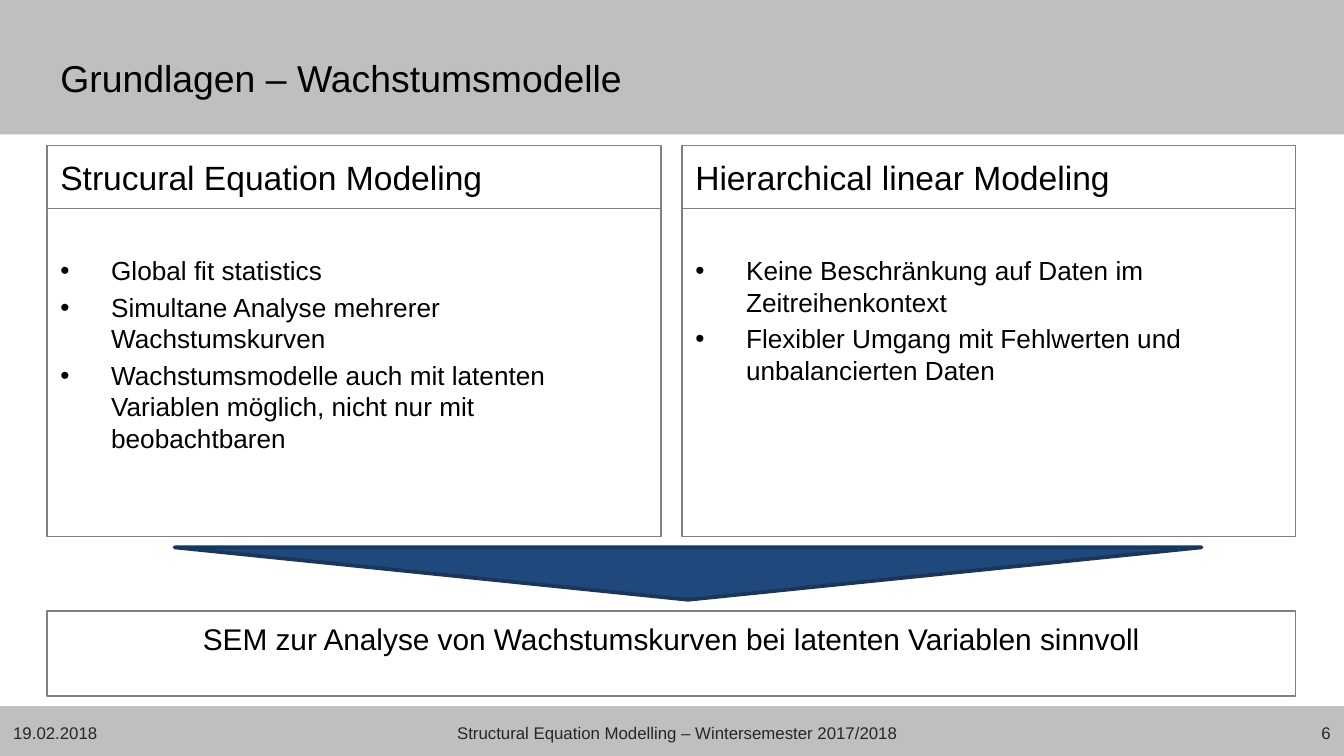
from pptx import Presentation
from pptx.dml.color import RGBColor
from pptx.enum.shapes import MSO_SHAPE
from pptx.enum.text import MSO_ANCHOR, MSO_AUTO_SIZE, PP_ALIGN
from pptx.util import Cm, Pt

RECT, MERGE = MSO_SHAPE.RECTANGLE, MSO_SHAPE.FLOWCHART_MERGE
TOP, MID = MSO_ANCHOR.TOP, MSO_ANCHOR.MIDDLE
LEFT, MIDST, RIGHT = PP_ALIGN.LEFT, PP_ALIGN.CENTER, PP_ALIGN.RIGHT
HUES = {"band": "BFBFBF", "blue": "1F497D", "navy": "17375E",
        "frame": "808080", "text": "000000", "foot": "262626"}


def hue(name):
    return RGBColor.from_string(HUES[name])


def write(shape, box, lines, size, anchor=MID, align=LEFT, ink="text",
          frame=True, inset=0.13):
    """Place a shape, fill it with paragraphs and format them."""
    for key, val in zip(("left", "top", "width", "height"), box):
        setattr(shape, key, Cm(val))
    text = shape.text_frame
    text.text = "\n".join(lines)
    looks = {"word_wrap": True, "auto_size": MSO_AUTO_SIZE.NONE,
             "vertical_anchor": anchor, "margin_left": Cm(0.25),
             "margin_right": Cm(0.25), "margin_top": Cm(inset),
             "margin_bottom": Cm(0.13)}
    for key, val in looks.items():
        setattr(text, key, val)
    for para in text.paragraphs:
        para.alignment = align
        fonts = {"name": "Arial", "size": Pt(size), "bold": False}
        for run in para.runs:
            for key, val in fonts.items():
                setattr(run.font, key, val)
            run.font.color.rgb = hue(ink)
    if frame:
        shape.line.color.rgb = hue("frame")
        shape.line.width = Pt(0.75)


deck = Presentation()
deck.slide_width, deck.slide_height = Cm(25.4), Cm(14.28)
slide = deck.slides.add_slide(deck.slide_layouts.get_by_name("Comparison"))
shapes = slide.shapes
title = shapes.title

# Bands and arrow, behind the text
for kind, box, fill, line in (
        (RECT, (0, 0, 25.4, 2.54), "band", None),
        (RECT, (0, 13.34, 25.4, 0.94), "band", None),
        (MERGE, (3.3, 10.34, 19.41, 0.99), "blue", "navy")):
    back = shapes.add_shape(kind, *map(Cm, box))
    back.shadow.inherit = False
    back.fill.solid()
    back.fill.fore_color.rgb = hue(fill)
    if line:
        back.line.color.rgb = hue(line)
        back.line.width = Pt(2)
    else:
        back.line.fill.background()
    title.element.addprevious(back.element)

write(title, (0.89, 0.58, 21.41, 1.78), ["Grundlagen – Wachstumsmodelle"],
      20, frame=False)

# Two columns, each a heading above a list
cols = [
    ("Strucural Equation Modeling",
     ["Global fit statistics",
      "Simultane Analyse mehrerer Wachstumskurven",
      "Wachstumsmodelle auch mit latenten Variablen möglich, "
      "nicht nur mit beobachtbaren"]),
    ("Hierarchical linear Modeling",
     ["Keine Beschränkung auf Daten im Zeitreihenkontext",
      "Flexibler Umgang mit Fehlwerten und unbalancierten Daten"]),
]
wide, step = 11.6, 12.0
for col, (head, items) in enumerate(cols):
    x = 0.89 + col * step
    write(slide.placeholders[1 + 2 * col], (x, 2.75, wide, 1.19), [head], 18)
    body = slide.placeholders[2 + 2 * col]
    write(body, (x, 3.94, wide, 6.2), items, 14, anchor=TOP, inset=0.87)
    paras = body.text_frame.paragraphs
    paras[0].space_before = Pt(0)
    for para in paras:
        props = para._p.get_or_add_pPr()
        props.set("marL", str(Cm(0.96)))
        props.set("indent", str(Cm(-0.96)))

# Summary and footer
note = shapes.add_textbox(0, 0, 0, 0)
write(note, (0.89, 11.54, 23.6, 1.61),
      ["SEM zur Analyse von Wachstumskurven bei latenten Variablen sinnvoll"],
      16, anchor=TOP, align=MIDST, inset=0.18)
for x, w, words, align in (
        (0, 2.31, "19.02.2018", LEFT),
        (2.7, 20.19, "Structural Equation Modelling – Wintersemester 2017/2018",
         MIDST),
        (23.09, 2.31, "6", RIGHT)):
    foot = shapes.add_textbox(0, 0, 0, 0)
    write(foot, (x, 13.53, w, 0.61), [words], 9, align=align, ink="foot",
          frame=False)

deck.save("out.pptx")
